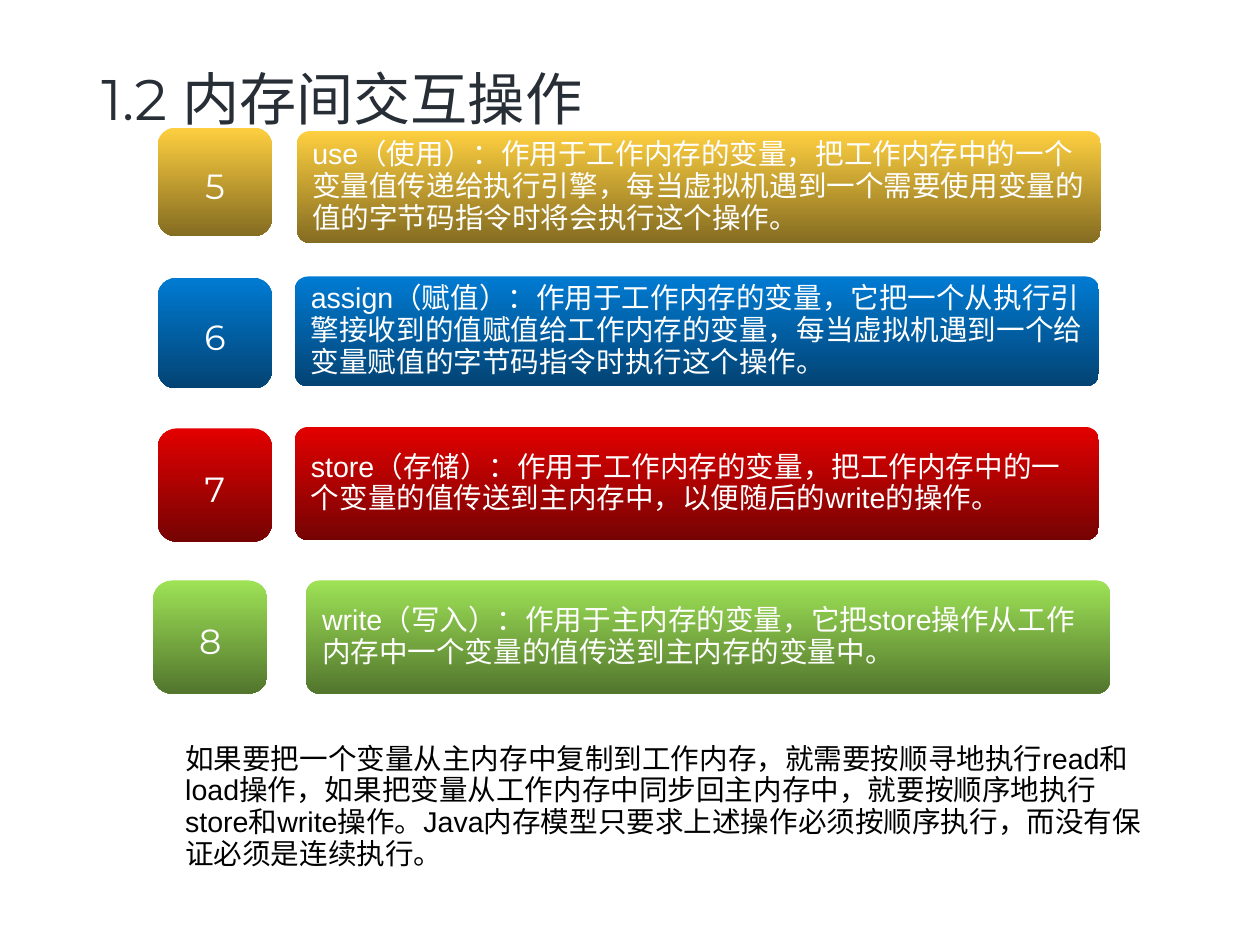
from dataclasses import dataclass

import pptx
import pptx.dml.color
import pptx.enum.shapes
import pptx.enum.text
import pptx.util

SLIDE_WIDTH = pptx.util.Cm(28)
SLIDE_HEIGHT = pptx.util.Cm(21)
COLUMN = SLIDE_WIDTH / 100
ROW = SLIDE_HEIGHT / 100

COLORS = {
    "gold": "FECF40", "dark gold": "846C21",
    "blue": "007BD3", "dark blue": "034373",
    "red": "E30000", "dark red": "760303",
    "green": "9EE256", "dark green": "52762D",
    "title": "272E36", "note": "000000", "light": "FFFFFF",
}
DESCRIPTION_FONT = "Arial"
HEADING_FONT = "Montserrat"
DESCRIPTION_SPACING = 0.93
HEADING_SPACING = 1.18
BADGE_WIDTH = 9.07
PANEL_WIDTH = 63.8
BADGE_ROUNDING = 0.167
PANEL_ROUNDING = 0.117
NARROW_PADDING = (0.91, 0.6)
WIDE_PADDING = (0.96, 0.7)


@dataclass(frozen=True)
class Area:
    column: float
    row: float
    columns: float
    rows: float

    def place(self, shape) -> None:
        shape.left = round(self.column * COLUMN)
        shape.top = round(self.row * ROW)
        shape.width = round(self.columns * COLUMN)
        shape.height = round(self.rows * ROW)


@dataclass(frozen=True)
class Operation:
    number: int
    description: str
    color: str
    badge: Area
    panel: Area
    padding: tuple[float, float] = WIDE_PADDING


OPERATIONS = [
    Operation(
        5,
        "use（使用）：作用于工作内存的变量，把工作内存中的一个变量值传递给执行引擎，"
        "每当虚拟机遇到一个需要使用变量的值的字节码指令时将会执行这个操作。",
        "gold",
        Area(12.52, 13.5, BADGE_WIDTH, 11.49),
        Area(23.57, 13.86, PANEL_WIDTH, 11.85),
        NARROW_PADDING,
    ),
    Operation(
        6,
        "assign（赋值）：作用于工作内存的变量，它把一个从执行引擎接收到的值赋值给工作内存的变量，"
        "每当虚拟机遇到一个给变量赋值的字节码指令时执行这个操作。",
        "blue",
        Area(12.52, 29.38, BADGE_WIDTH, 11.73),
        Area(23.41, 29.26, PANEL_WIDTH, 11.61),
    ),
    Operation(
        7,
        "store（存储）：作用于工作内存的变量，把工作内存中的一个变量的值传送到主内存中，"
        "以便随后的write的操作。",
        "red",
        Area(12.52, 45.34, BADGE_WIDTH, 11.97),
        Area(23.41, 45.18, PANEL_WIDTH, 11.97),
    ),
    Operation(
        8,
        "write（写入）：作用于主内存的变量，它把store操作从工作内存中一个变量的值"
        "传送到主内存的变量中。",
        "green",
        Area(12.16, 61.43, BADGE_WIDTH, 11.97),
        Area(24.3, 61.43, PANEL_WIDTH, 11.97),
    ),
]
TITLE_AREA = Area(7.14, 4.76, 86.84, 9.67)
NOTE_AREA = Area(13.79, 78.08, 77.68, 14.75)
NOTE = (
    "如果要把一个变量从主内存中复制到工作内存，就需要按顺寻地执行read和load操作，"
    "如果把变量从工作内存中同步回主内存中，就要按顺序地执行store和write操作。"
    "Java内存模型只要求上述操作必须按顺序执行，而没有保证必须是连续执行。"
)


def rgb(name: str) -> pptx.dml.color.RGBColor:
    return pptx.dml.color.RGBColor.from_string(COLORS[name])


def write_text(shape, text: str, *, size: float, font: str, color: str, spacing: float,
               align=pptx.enum.text.PP_ALIGN.LEFT,
               anchor=pptx.enum.text.MSO_ANCHOR.TOP,
               fit=pptx.enum.text.MSO_AUTO_SIZE.NONE,
               padding: tuple[float, float] = NARROW_PADDING) -> None:
    frame = shape.text_frame
    frame.word_wrap = True
    frame.auto_size = fit
    frame.vertical_anchor = anchor
    frame.margin_left = frame.margin_right = round(padding[0] * COLUMN)
    frame.margin_top = frame.margin_bottom = round(padding[1] * ROW)
    paragraph = frame.paragraphs[0]
    paragraph.alignment = align
    paragraph.line_spacing = spacing
    paragraph.space_before = pptx.util.Pt(0)
    run = paragraph.add_run()
    run.text = text
    run.font.size = pptx.util.Pt(size)
    run.font.name = font
    run.font.color.rgb = rgb(color)


def add_tile(slide, area: Area, color: str, rounding: float):
    tile = slide.shapes.add_shape(
        pptx.enum.shapes.MSO_SHAPE.ROUNDED_RECTANGLE, 0, 0, 0, 0)
    area.place(tile)
    tile.adjustments[0] = rounding
    tile.shadow.inherit = False
    tile.line.fill.background()
    tile.fill.gradient()
    tile.fill.gradient_angle = 270
    for stop, position, shade in zip(tile.fill.gradient_stops, (0, 1), (color, f"dark {color}")):
        stop.position = position
        stop.color.rgb = rgb(shade)
    return tile


def draw_operation(slide, operation: Operation) -> None:
    middle = pptx.enum.text.MSO_ANCHOR.MIDDLE
    panel = add_tile(slide, operation.panel, operation.color, PANEL_ROUNDING)
    write_text(panel, operation.description, size=18, font=DESCRIPTION_FONT, color="light",
               spacing=DESCRIPTION_SPACING, anchor=middle, padding=operation.padding)
    badge = add_tile(slide, operation.badge, operation.color, BADGE_ROUNDING)
    write_text(badge, str(operation.number), size=22, font=HEADING_FONT, color="light",
               spacing=HEADING_SPACING, align=pptx.enum.text.PP_ALIGN.CENTER,
               anchor=middle, padding=operation.padding)


def main() -> None:
    presentation = pptx.Presentation()
    presentation.slide_width = SLIDE_WIDTH
    presentation.slide_height = SLIDE_HEIGHT
    slide = presentation.slides.add_slide(presentation.slide_layouts.get_by_name("Title Only"))
    grow = pptx.enum.text.MSO_AUTO_SIZE.SHAPE_TO_FIT_TEXT

    title = slide.shapes.title
    TITLE_AREA.place(title)
    write_text(title, "1.2 内存间交互操作", size=36, font=HEADING_FONT, color="title",
               spacing=HEADING_SPACING, fit=grow)

    for operation in OPERATIONS:
        draw_operation(slide, operation)

    note = slide.shapes.add_textbox(0, 0, 0, 0)
    NOTE_AREA.place(note)
    write_text(note, NOTE, size=18, font=DESCRIPTION_FONT, color="note",
               spacing=DESCRIPTION_SPACING, fit=grow)
    presentation.save("out.pptx")


if __name__ == "__main__":
    main()
